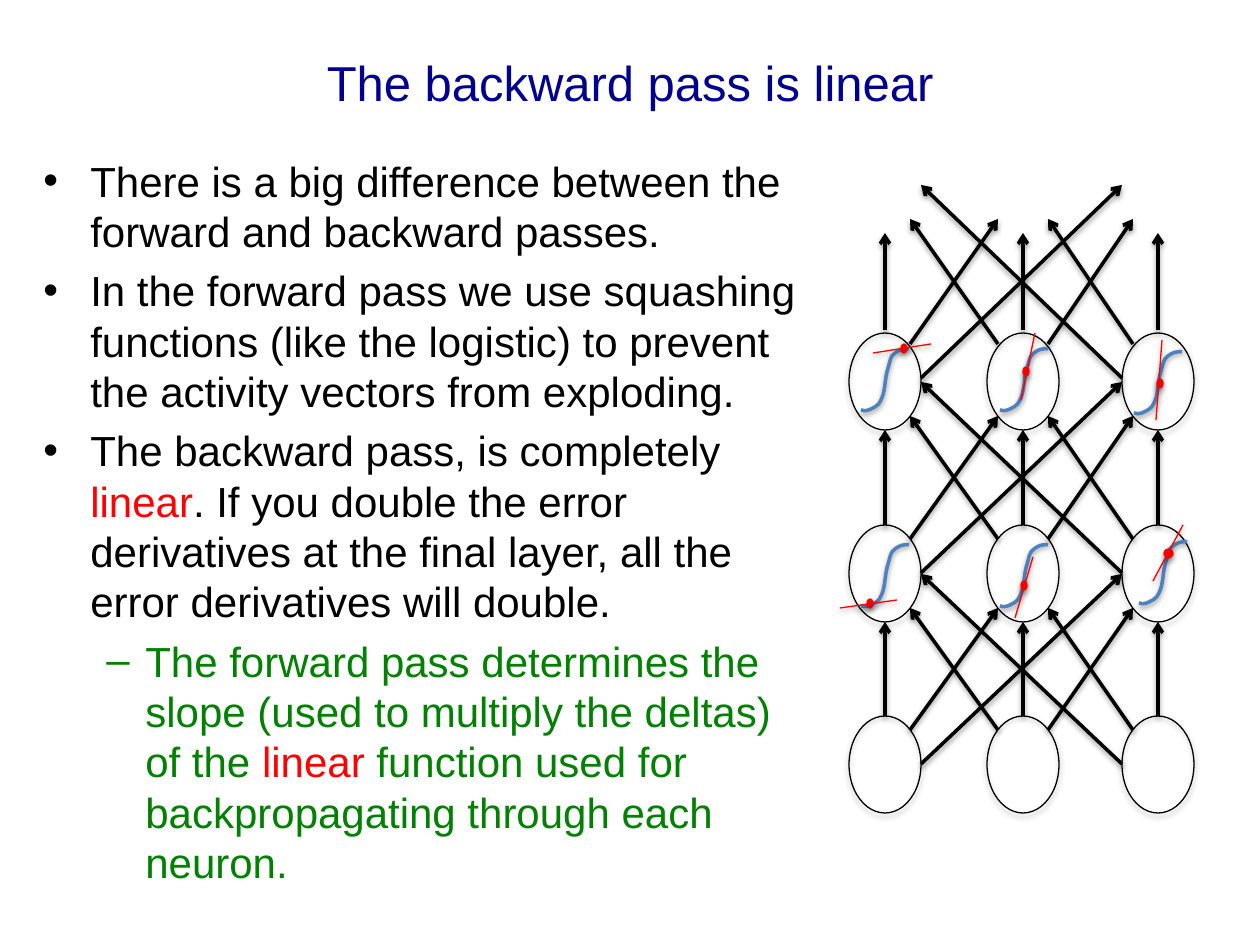
from lxml.etree import SubElement
from pptx import Presentation
from pptx.dml.color import RGBColor as RGB
from pptx.enum.shapes import MSO_CONNECTOR as CONN, MSO_SHAPE as SHAPE
from pptx.enum.text import MSO_ANCHOR as ANCHOR, PP_ALIGN as ALIGN
from pptx.oxml.ns import qn
from pptx.util import Pt

PX = 914400 / 126  # EMU in one px
THEME = {
    "font": "Arial", "title_size": Pt(28), "body_size": Pt(24),
    "title": RGB(0, 0, 0x90), "text": RGB(0, 0, 0),
    "accent": RGB(0xFF, 0, 0), "detail": RGB(0, 0x80, 0),
    "curve": RGB(0x4F, 0x81, 0xBD), "thin": Pt(0.75), "thick": Pt(2),
}


def emu(*lengths):
    return [round(v * PX) for v in lengths]


def outline(sp, color, width, arrow=False, alpha=38, dist=20000):
    """Give a shape or connector its line, soft shadow and arrowhead."""
    sp.line.color.rgb = THEME[color]
    sp.line.width = THEME[width]
    sp_pr = sp._element.spPr
    if arrow:
        SubElement(sp_pr.find(qn("a:ln")), qn("a:tailEnd"), type="arrow")
    effects = SubElement(sp_pr, qn("a:effectLst"))
    shadow = SubElement(effects, qn("a:outerShdw"), blurRad="40000",
                        dist=str(dist), dir="5400000", rotWithShape="0")
    black = SubElement(shadow, qn("a:srgbClr"), val="000000")
    SubElement(black, qn("a:alpha"), val=str(alpha * 1000))


prs = Presentation()
prs.slide_width, prs.slide_height = emu(1260, 945)
s = prs.slides.add_slide(prs.slide_layouts[5])
shapes = s.shapes

# Title
title = shapes.title
title.left, title.top, title.width, title.height = emu(63, 3, 1134, 157)
tf = title.text_frame
tf.vertical_anchor = ANCHOR.MIDDLE
p = tf.paragraphs[0]
p.alignment = ALIGN.CENTER
r = p.add_run()
r.text = "The backward pass is linear"
for key, value in {"name": THEME["font"], "size": THEME["title_size"]}.items():
    setattr(r.font, key, value)
r.font.color.rgb = THEME["title"]

# Bulleted text: level, then runs of (text, colour)
BULLETS = [
    (0, [("There is a big difference between the forward and backward passes.", "text")]),
    (0, [("In the forward pass we use squashing functions (like the logistic) "
          "to prevent the activity vectors from exploding.", "text")]),
    (0, [("The backward pass, is completely ", "text"), ("linear", "accent"),
         (". If you double the error derivatives at the final layer, "
          "all the error derivatives will double.", "text")]),
    (1, [("The forward pass determines the slope (used to multiply the deltas) of the", "detail"),
         (" linear ", "accent"),
         ("function used for backpropagating through each neuron.", "detail")]),
]
LEVELS = [("•", 47, -47), ("–", 102, -39)]  # mark, margin, indent
tf = shapes.add_textbox(*emu(31, 149, 791, 624)).text_frame
tf.word_wrap = True
for i, (level, runs) in enumerate(BULLETS):
    p = tf.paragraphs[0] if i == 0 else tf.add_paragraph()
    for key, value in {"level": level, "space_before": Pt(5)}.items():
        setattr(p, key, value)
    mark, margin, indent = LEVELS[level]
    p_pr = p._p.get_or_add_pPr()
    p_pr.set("marL", str(emu(margin)[0]))
    p_pr.set("indent", str(emu(indent)[0]))
    SubElement(p_pr, qn("a:buFont"), typeface=THEME["font"])
    SubElement(p_pr, qn("a:buChar"), char=mark)
    for text, color in runs:
        r = p.add_run()
        r.text = text
        for key, value in {"name": THEME["font"], "size": THEME["body_size"]}.items():
            setattr(r.font, key, value)
        r.font.color.rgb = THEME[color]

# Neurons: three layers of three
COLS = [885, 1023, 1158]  # centres
ROWS = [716, 525, 333]  # tops, input layer first
W, H = 72, 97
for top in ROWS:
    for cx in COLS:
        sp = shapes.add_shape(SHAPE.OVAL, *emu(cx - W // 2, top, W, H))
        sp.fill.background()
        outline(sp, "text", "thin", alpha=35, dist=23000)

# Arrows from every neuron to every neuron of the layer above
# Offset from the centre and depth below the top, by columns crossed
ENDS = {0: (0, 0), 1: (25, 14), 2: (36, 48)}
for low, high in [(716, 525), (525, 333), (330, 136)]:
    for i, x1 in enumerate(COLS):
        for j, x2 in enumerate(COLS):
            dx, dy = ENDS[abs(j - i)]
            side = dx if j > i else -dx
            line = shapes.add_connector(
                CONN.STRAIGHT, *emu(x1 + side, low + dy, x2 - side, high + H - dy))
            outline(line, "text", "thick", arrow=True)

# Logistic curves: a start point, then three control points per cubic Bézier
LOGISTIC = [(0, 62), (2, 63), (4, 63), (8, 62), (12, 60), (18, 58), (20, 52),
            (24, 45), (24, 32), (26, 24), (28, 18), (29, 11), (31, 8),
            (34, 4), (40, 1), (43, 1), (45, 0), (48, 1), (48, 1)]
for x, y in [(1000, 348), (1134, 351), (861, 348), (1000, 544), (1139, 541), (861, 544)]:
    start, *rest = [emu(x + dx, y + dy) for dx, dy in LOGISTIC]
    builder = shapes.build_freeform(*start)
    builder.add_line_segments(rest, close=False)
    sp = builder.convert_to_shape()
    # Join each three straight segments into one cubic
    segments = list(sp._element.iter(qn("a:lnTo")))
    outline_path = segments[0].getparent()
    for k in range(0, len(segments), 3):
        cubic = SubElement(outline_path, qn("a:cubicBezTo"))
        for segment in segments[k:k + 3]:
            cubic.append(segment[0])
            outline_path.remove(segment)
    sp.fill.background()
    outline(sp, "curve", "thick")

# Operating points with their tangents: dot box, tangent ends
TANGENTS = [
    ((867, 599, 6, 9), (840, 608, 897, 600)),
    ((1021, 581, 6, 9), (1015, 618, 1033, 557)),
    ((1164, 549, 9, 9), (1153, 581, 1183, 525)),
    ((1023, 367, 6, 9), (1021, 400, 1035, 333)),
    ((901, 344, 6, 9), (873, 353, 931, 344)),
    ((1157, 379, 6, 9), (1156, 420, 1162, 340)),
]
for dot, tangent in TANGENTS:
    sp = shapes.add_shape(SHAPE.OVAL, *emu(*dot))
    sp.fill.solid()
    sp.fill.fore_color.rgb = THEME["accent"]
    outline(sp, "accent", "thin", alpha=35, dist=23000)
    outline(shapes.add_connector(CONN.STRAIGHT, *emu(*tangent)), "accent", "thin")

prs.save("out.pptx")
